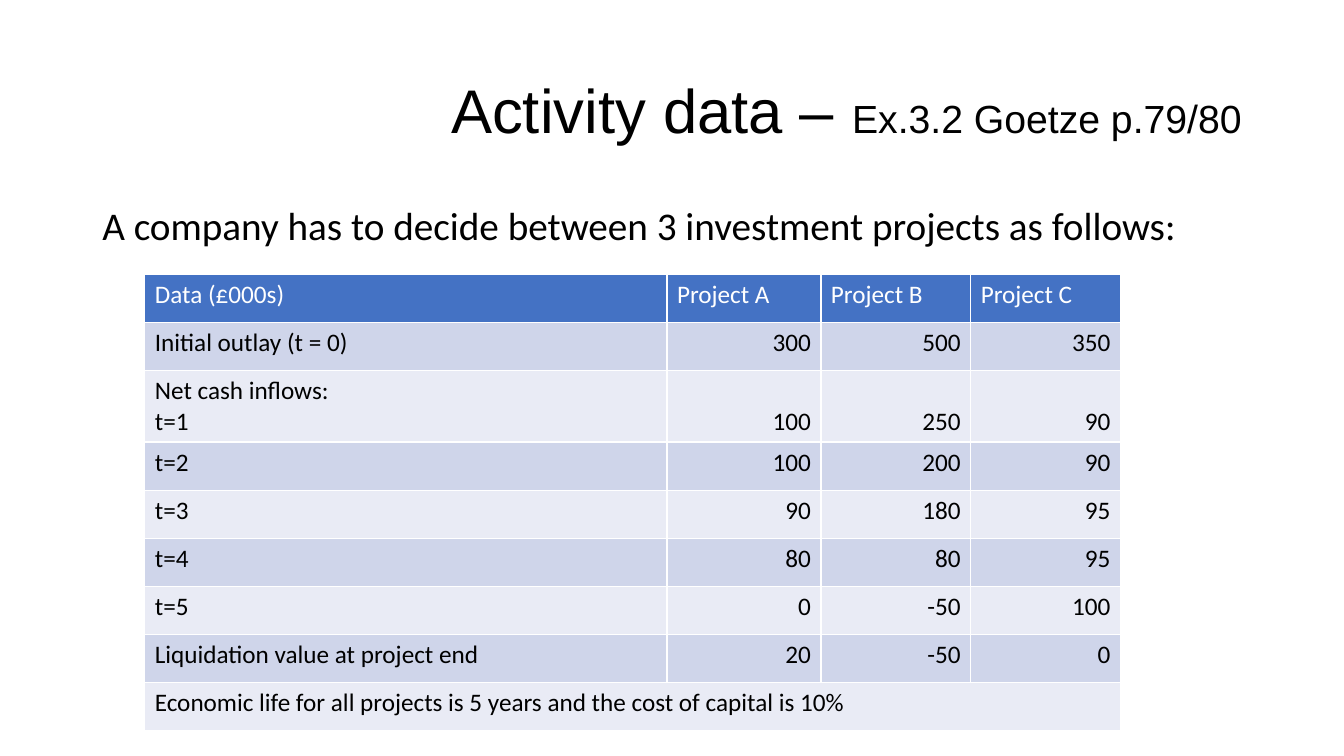
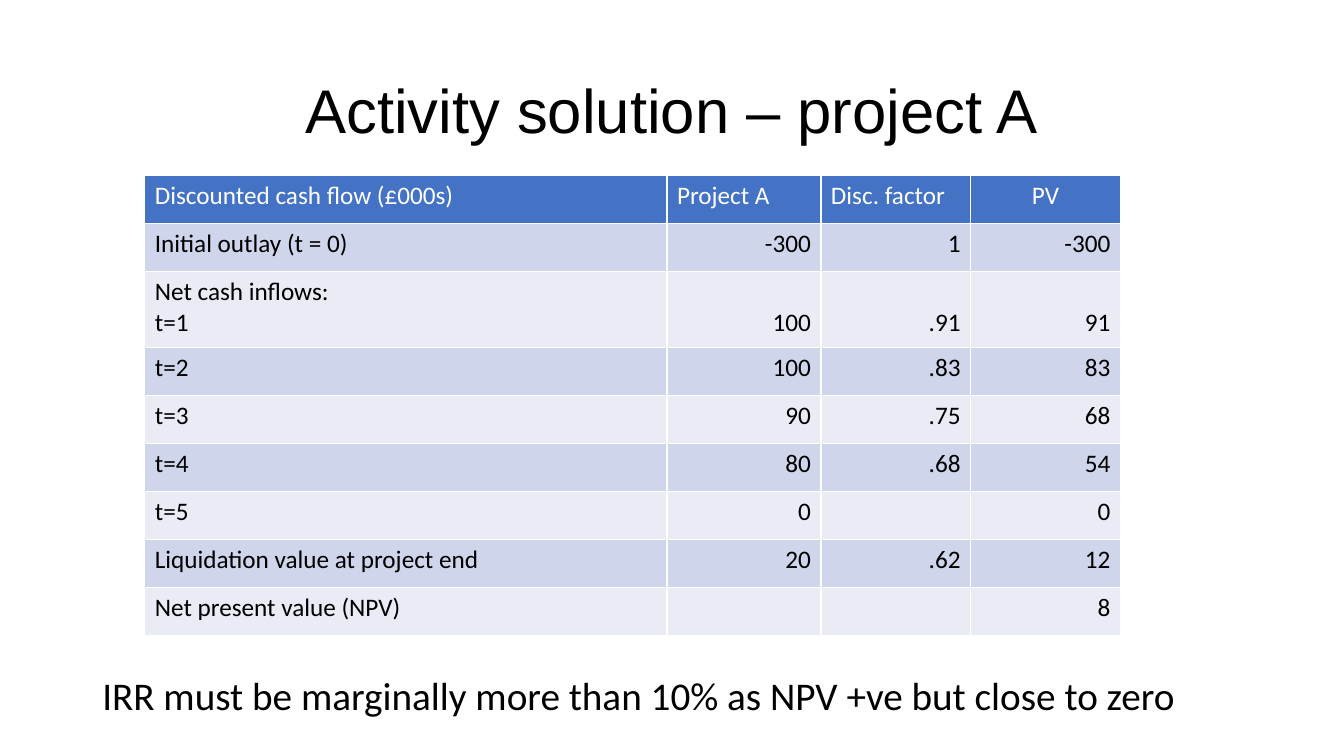
from lxml.etree import SubElement as Sub
from pptx import Presentation
from pptx.dml.color import RGBColor as RGB
from pptx.enum.text import MSO_ANCHOR as Anchor, PP_ALIGN as Align
from pptx.oxml.ns import qn
from pptx.util import Pt

BLACK, WHITE, HEAD = "000000", "FFFFFF", "4472C4"
BANDS = ("E9EBF5", "CFD5EA")
LEFT, WIDTH = 66, 828
COLS = (373, 110, 107, 107)
ROW = 34.3
DROP = 25.6


def paint(target, code):
    target.rgb = RGB.from_string(code)


class Deck:
    """Holds the shared style and the slide being built."""

    def __init__(self):
        self.prs = Presentation()
        self.prs.slide_width, self.prs.slide_height = Pt(960), Pt(540)
        self.slide = None

    def page(self):
        self.slide = self.prs.slides.add_slide(self.prs.slide_layouts[6])

    def style(self, para, size, face="Calibri", color=BLACK, align=Align.LEFT):
        para.alignment = align
        font = para.font
        font.size, font.name, font.bold = Pt(size), face, False
        paint(font.color, color)

    def box(self, top, height, anchor=Anchor.TOP):
        shape = self.slide.shapes.add_textbox(Pt(LEFT), Pt(top), Pt(WIDTH), Pt(height))
        frame = shape.text_frame
        frame.word_wrap = True
        frame.vertical_anchor = anchor
        para = frame.paragraphs[0]
        para.line_spacing = 0.9
        return para

    def title(self, text, align, note=""):
        para = self.box(28.8, 104.4, Anchor.MIDDLE)
        self.style(para, 44, "Arial", align=align)
        para.add_run().text = text
        if note:
            run = para.add_run()
            run.text = note
            run.font.size = Pt(28)

    def body(self, text, top):
        para = self.box(top, 40)
        para.text = text
        self.style(para, 28)

    def edge(self, cell):
        props = cell._tc.get_or_add_tcPr()
        for side in ("lnL", "lnR", "lnT", "lnB"):
            line = Sub(props, qn(f"a:{side}"), w=str(Pt(1)))
            Sub(Sub(line, qn("a:solidFill")), qn("a:srgbClr"), val=WHITE)

    def cell(self, cell, text, fill, color, align):
        self.edge(cell)
        cell.fill.solid()
        paint(cell.fill.fore_color, fill)
        cell.text = text
        for para in cell.text_frame.paragraphs:
            self.style(para, 18, color=color, align=align)

    def table(self, top, rows, tall, heads=(Align.LEFT,) * 4):
        high = ROW * (len(rows) - 1) + tall
        frame = self.slide.shapes.add_table(
            len(rows), len(COLS), Pt(103.4), Pt(top), Pt(sum(COLS)), Pt(high))
        table = frame.table
        table.horz_banding = False
        for col, width in zip(table.columns, COLS):
            col.width = Pt(width)
        for i, row in enumerate(rows):
            double = "\n" in row[0]
            table.rows[i].height = Pt(tall if double else ROW)
            fill, color = (BANDS[i % 2], BLACK) if i else (HEAD, WHITE)
            sides = (Align.LEFT,) + (Align.RIGHT,) * 3 if i else heads
            texts = row + ("",) * (len(COLS) - len(row))
            for j, text in enumerate(texts):
                cell = table.cell(i, j)
                self.cell(cell, text, fill, color, sides[j])
                if double and j:
                    cell.margin_top = Pt(DROP)
            if len(row) == 1:
                table.cell(i, 0).merge(table.cell(i, len(COLS) - 1))


LABELS = ("Initial outlay (t = 0)", "Net cash inflows:\nt=1", "t=2", "t=3",
          "t=4", "t=5", "Liquidation value at project end")


def grid(head, data, last):
    return [head, *((name, *nums) for name, nums in zip(LABELS, data)), last]


def main():
    deck = Deck()

    deck.page()
    deck.title("Activity data – ", Align.RIGHT, "Ex.3.2 Goetze p.79/80")
    deck.body("A company has to decide between 3 investment projects as follows:", 144)
    deck.table(196, grid(
        ("Data (£000s)", "Project A", "Project B", "Project C"),
        [("300", "500", "350"), ("100", "250", "90"), ("100", "200", "90"),
         ("90", "180", "95"), ("80", "80", "95"), ("0", "-50", "100"),
         ("20", "-50", "0")],
        ("Economic life for all projects is 5 years and the cost of capital is 10%",),
    ), 51.2)

    deck.page()
    deck.title("Activity solution – project A", Align.CENTER)
    deck.table(125.5, grid(
        ("Discounted cash flow (£000s)", "Project A", "Disc. factor", "PV"),
        [("-300", "1", "-300"), ("100", ".91", "91"), ("100", ".83", "83"),
         ("90", ".75", "68"), ("80", ".68", "54"), ("0", "", "0"),
         ("20", ".62", "12")],
        ("Net present value (NPV)", "", "", "8"),
    ), 54, (Align.LEFT,) * 3 + (Align.CENTER,))
    deck.body("IRR must be marginally more than 10% as NPV +ve but close to zero", 480)

    deck.prs.save("out.pptx")


if __name__ == "__main__":
    main()
